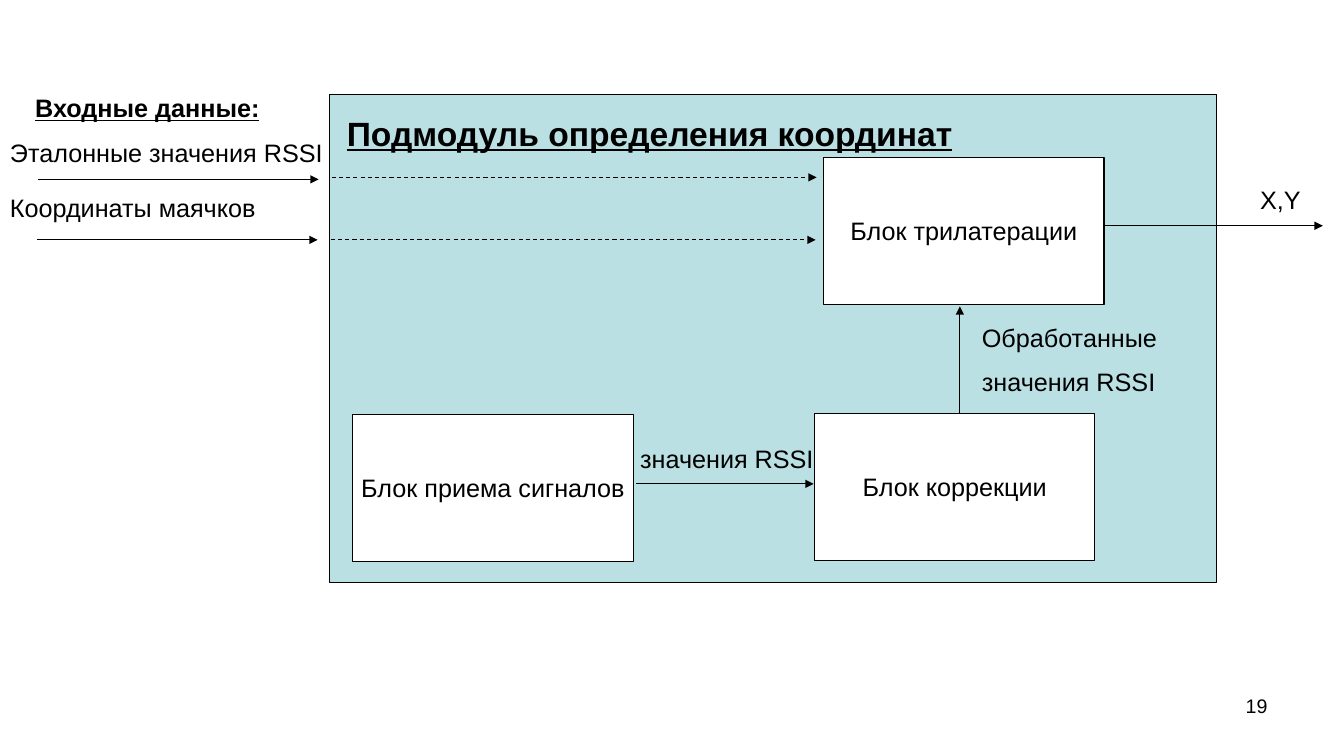
from lxml import etree
from pptx import Presentation
from pptx.dml.color import RGBColor
from pptx.enum.dml import MSO_LINE
from pptx.enum.shapes import MSO_CONNECTOR, MSO_SHAPE
from pptx.enum.text import MSO_ANCHOR, MSO_AUTO_SIZE, PP_ALIGN
from pptx.oxml.ns import qn
from pptx.util import Inches, Pt

BLACK = RGBColor(0x00, 0x00, 0x00)
WHITE = RGBColor(0xFF, 0xFF, 0xFF)
PANEL_BLUE = RGBColor(0xBB, 0xE0, 0xE3)
RECTANGLE = MSO_SHAPE.RECTANGLE
STRAIGHT = MSO_CONNECTOR.STRAIGHT
DASH = MSO_LINE.DASH
TOP, MIDDLE = MSO_ANCHOR.TOP, MSO_ANCHOR.MIDDLE
LEFT, CENTER, RIGHT = PP_ALIGN.LEFT, PP_ALIGN.CENTER, PP_ALIGN.RIGHT
FIXED_SIZE = MSO_AUTO_SIZE.NONE
BLOCK_WIDTH, BLOCK_HEIGHT = 2.78, 1.46


def write_text(shape, text, size=18, heading=False, align=LEFT, anchor=TOP, wrap=True):
    """Fill a shape with formatted text, one paragraph per line."""
    frame = shape.text_frame
    frame.text = text
    frame.auto_size = FIXED_SIZE
    frame.word_wrap = wrap
    frame.vertical_anchor = anchor
    for index, paragraph in enumerate(frame.paragraphs):
        paragraph.alignment = align
        if index:
            paragraph.space_before = Pt(10)
        font = paragraph.runs[0].font
        font.name = "Arial"
        font.size = Pt(size)
        font.bold = heading
        font.underline = heading
        font.color.rgb = BLACK


def add_label(slide, text, left, top, width, height=0.4, **text_format):
    """Add a text box."""
    box = slide.shapes.add_textbox(Inches(left), Inches(top), Inches(width), Inches(height))
    write_text(box, text, **text_format)


def add_rectangle(slide, left, top, width, height, color):
    """Add a filled rectangle with a thin black outline."""
    shape = slide.shapes.add_shape(
        RECTANGLE, Inches(left), Inches(top), Inches(width), Inches(height)
    )
    shape.shadow.inherit = False
    shape.fill.solid()
    shape.fill.fore_color.rgb = color
    shape.line.color.rgb = BLACK
    shape.line.width = Pt(0.75)
    return shape


def add_block(slide, text, left, top):
    """Add a white processing block with a centred caption."""
    block = add_rectangle(slide, left, top, BLOCK_WIDTH, BLOCK_HEIGHT, WHITE)
    write_text(block, text, align=CENTER, anchor=MIDDLE, wrap=False)


def add_arrow(slide, left, top, across=0, down=0, dashed=False):
    """Add a straight arrow from a point by the given offsets."""
    arrow = slide.shapes.add_connector(
        STRAIGHT, Inches(left), Inches(top), Inches(left + across), Inches(top + down)
    )
    arrow.line.color.rgb = BLACK
    arrow.line.width = Pt(0.75)
    if dashed:
        arrow.line.dash_style = DASH
    etree.SubElement(arrow.line._get_or_add_ln(), qn("a:tailEnd"), type="triangle")
    etree.SubElement(arrow.element.spPr, qn("a:effectLst"))


def add_inputs(slide, left, top):
    """Add the input heading and the two labelled input arrows."""
    add_label(slide, "Входные данные:", left + 0.25, top, 3.05, heading=True)
    add_label(slide, "Эталонные значения RSSI", left, top + 0.44, 3.89)
    add_label(slide, "Координаты маячков", left, top + 0.99, 3.89)
    add_arrow(slide, left + 0.38, top + 0.91, across=2.78)
    add_arrow(slide, left + 0.37, top + 1.51, across=2.78)


def add_module(slide, left, top, width, height):
    """Add the coordinate module with its title, blocks and inner arrows."""
    panel = add_rectangle(slide, left, top, width, height, PANEL_BLUE)
    title = slide.shapes.title
    title.left, title.top = Inches(left + 0.07), Inches(top + 0.13)
    title.width, title.height = Inches(6.56), Inches(0.5)
    write_text(title, "Подмодуль определения координат", size=24, heading=True)
    panel.element.addnext(title.element)

    add_block(slide, "Блок приема сигналов", left + 0.23, top + 3.17)
    add_block(slide, "Блок коррекции", left + 4.81, top + 3.16)
    add_block(slide, "Блок трилатерации", left + 4.9, top + 0.62)

    add_arrow(slide, left + 0.02, top + 0.82, across=4.81, dashed=True)
    add_arrow(slide, left + 0.01, top + 1.44, across=4.81, dashed=True)
    add_arrow(slide, left + 3.04, top + 3.86, across=1.76)
    add_label(slide, "значения RSSI", left + 2.98, top + 3.41, 3.89)
    add_arrow(slide, left + 6.25, top + 3.16, down=-1.06)
    add_label(slide, "Обработанные\nзначения RSSI", left + 6.37, top + 2.21, 2.4, 0.85)


def add_output(slide, left, top):
    """Add the output arrow and its label."""
    add_arrow(slide, left, top + 0.46, across=2.16)
    add_label(slide, "X,Y", left + 1.44, top, 0.9)


def main():
    """Build and save the slide."""
    presentation = Presentation()
    presentation.slide_width = Inches(13.33)
    presentation.slide_height = Inches(7.5)
    slide = presentation.slides.add_slide(presentation.slide_layouts[5])
    add_module(slide, 3.27, 0.94, 8.8, 4.84)
    add_inputs(slide, 0, 0.87)
    add_output(slide, 10.96, 1.78)
    add_label(slide, "19", 9.56, 6.83, 3.11, 0.52, size=14, align=RIGHT)
    presentation.save("out.pptx")


if __name__ == "__main__":
    main()
